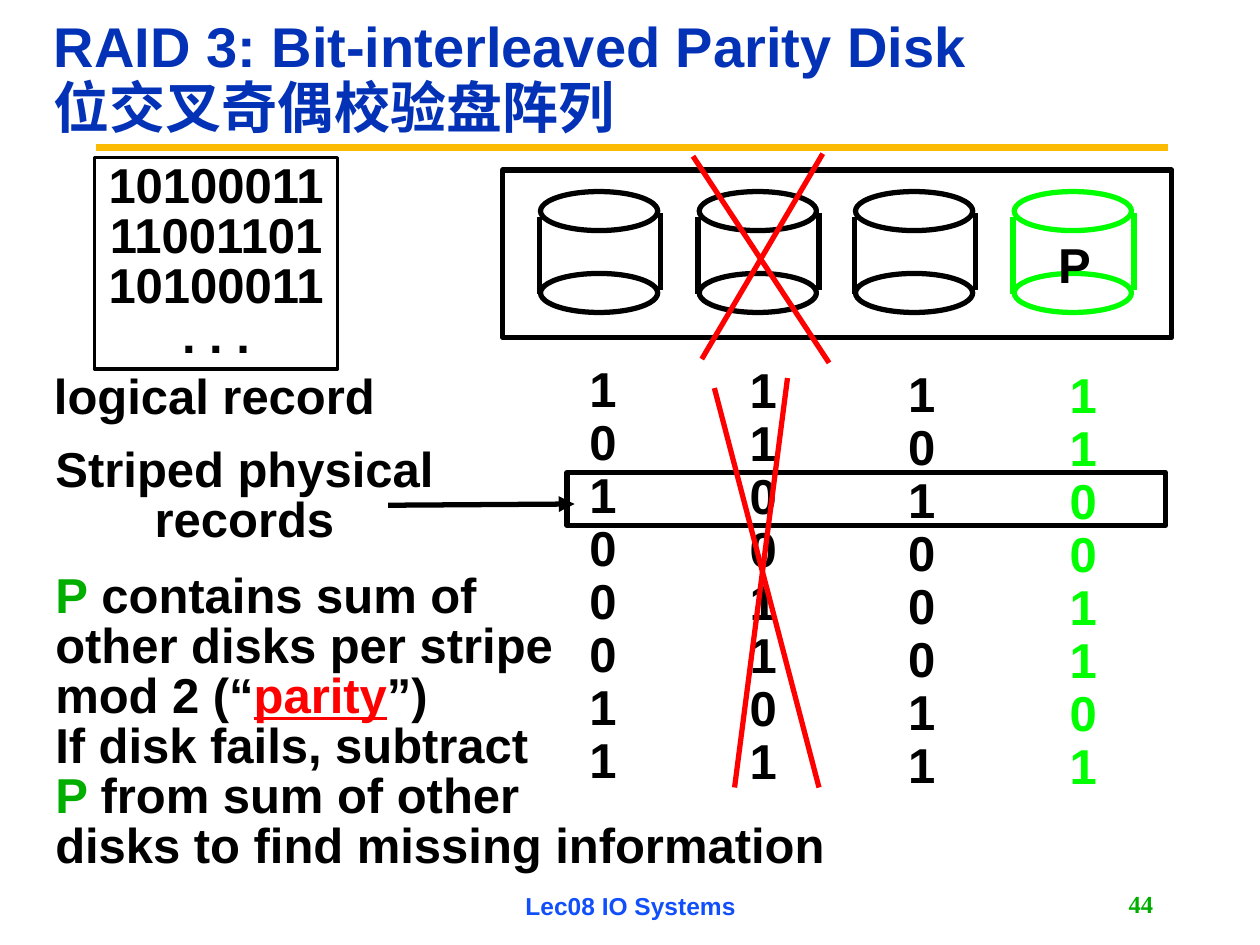
from lxml import etree
from pptx import Presentation
from pptx.dml.color import RGBColor
from pptx.enum.shapes import MSO_CONNECTOR, MSO_SHAPE
from pptx.enum.text import MSO_ANCHOR, PP_ALIGN
from pptx.oxml.ns import qn
from pptx.util import Pt

RECT, OVAL = MSO_SHAPE.RECTANGLE, MSO_SHAPE.OVAL
STRAIGHT = MSO_CONNECTOR.STRAIGHT
LEFT, MID, RIGHT = PP_ALIGN.LEFT, PP_ALIGN.CENTER, PP_ALIGN.RIGHT
TOP, CENTER = MSO_ANCHOR.TOP, MSO_ANCHOR.MIDDLE
PX = 9144  # 100 px to the inch

THEME = {
    "black": "000000", "white": "FFFFFF", "red": "FF0000",
    "lime": "00FF00", "green": "00AE00", "gold": "FBBA03",
    "navy": "0332B7", "blue": "114FFB",
    "sans": "Arial", "serif": "Times New Roman",
    "title": 32, "body": 28, "foot": 14,
}


def tint(name):
    return RGBColor.from_string(THEME[name])


def write(shape, lines, color="black", size="body", align=LEFT, lead=0.85,
          anchor=TOP, wrap=False, face="sans"):
    """Fill a shape with lines; a line is a string or a tuple of runs."""
    frame = shape.text_frame
    frame.word_wrap = wrap
    frame.vertical_anchor = anchor
    for i, line in enumerate(lines):
        para = frame.add_paragraph() if i else frame.paragraphs[0]
        parts = (line,) if isinstance(line, str) else line
        para.text = parts[0]
        for part in parts[1:]:
            para.add_run().text = part
        para.alignment = align
        para.line_spacing = lead
        for run in para.runs:
            run.font.name = THEME[face]
            run.font.size = Pt(THEME[size])
            run.font.bold = True
            run.font.color.rgb = tint(color)
    return frame.paragraphs


deck = Presentation()
deck.slide_width, deck.slide_height = 1000 * PX, 750 * PX
slide = deck.slides.add_slide(deck.slide_layouts[6])
shapes = slide.shapes

# Disks: left edge, digits' left and top, bits, color
disks = [
    (428, 458, 285, "10100011", "black"),
    (554, 585, 286, "11001101", "black"),
    (678, 711, 289, "10100011", "black"),
    (804, 839, 290, "11001101", "lime"),
]

# Outlines: kind, left, top, width, height, line color, weight, fill
outlines = [
    (RECT, 75, 125, 193, 168, "black", 2, "white"),
    (RECT, 399, 135, 531, 133, "black", 3, None),
    (RECT, 450, 375, 475, 42, "black", 3, None),
]
# Lines: start x, y, end x, y, color, weight
lines = [(76, 117, 927, 117, "gold", 3.75)]
for x, _, _, _, color in disks:
    for y in (152, 217):
        outlines.append((OVAL, x + 1, y, 93, 31, color, 3, "white"))
    lines.append((x, 172, x, 233, color, 3))
    lines.append((x + 96, 169, x + 96, 230, color, 3))

drawn = []
for kind, x, y, w, h, color, weight, fill in outlines:
    shape = shapes.add_shape(kind, x * PX, y * PX, w * PX, h * PX)
    shape.shadow.inherit = False
    shape.line.color.rgb = tint(color)
    shape.line.width = Pt(weight)
    if fill:
        shape.fill.solid()
        shape.fill.fore_color.rgb = tint(fill)
    else:
        shape.fill.background()
    drawn.append(shape)
write(drawn[0], ["10100011", "11001101", "10100011", ". . ."],
      align=MID, anchor=CENTER)

# Text boxes: left, top, width, height, lines, format
note = ["P", " contains sum of"]
texts = [
    (33, 18, 917, 91,
     ["RAID 3: Bit-interleaved Parity Disk\n位交叉奇偶校验盘阵列"],
     dict(color="navy", size="title", lead=0.9, anchor=CENTER, wrap=True)),
    (830, 188, 46, 49, ["P"], {}),
    (33, 292, 275, 49, ["logical record"], {}),
    (34, 350, 320, 89, ["Striped physical", "records"], dict(align=MID)),
    (342, 703, 317, 31, ["Lec08 IO Systems"],
     dict(color="blue", size="foot", align=MID, lead=1.0, anchor=CENTER)),
    (717, 701, 208, 32, ["44"],
     dict(color="green", size="foot", align=RIGHT, lead=1.0, anchor=CENTER,
          face="serif")),
]
for _, x, y, bits, color in disks:
    texts.append((x, y, 41, 346, list(bits), dict(color=color, lead=0.9)))
for x, y, w, h, words, form in texts:
    write(shapes.add_textbox(x * PX, y * PX, w * PX, h * PX), words, **form)

note = write(shapes.add_textbox(34 * PX, 450 * PX, 631 * PX, 288 * PX), [
    ("P", " contains sum of"),
    "other disks per stripe",
    ("mod 2 (“", "parity", "”)"),
    "If disk fails, subtract",
    ("P ", "from sum of other"),
    "disks to find missing information",
])
for row in (0, 4):
    note[row].runs[0].font.color.rgb = tint("green")
parity = note[2].runs[1].font
parity.color.rgb = tint("red")
parity.underline = True

# Crosses over the failed disk and its bits, then the arrow
lines += [
    (550, 124, 658, 288, "red", 3),
    (653, 122, 557, 285, "red", 3),
    (567, 308, 650, 625, "red", 3),
    (625, 300, 583, 625, "red", 3),
    (308, 401, 456, 400, "black", 3),
]
for x1, y1, x2, y2, color, weight in lines:
    link = shapes.add_connector(STRAIGHT, x1 * PX, y1 * PX, x2 * PX, y2 * PX)
    link.line.color.rgb = tint(color)
    link.line.width = Pt(weight)
    etree.SubElement(link._element.spPr, qn("a:effectLst"))
arrow = link.line._get_or_add_ln()
etree.SubElement(arrow, qn("a:tailEnd"), type="triangle")

deck.save("out.pptx")
